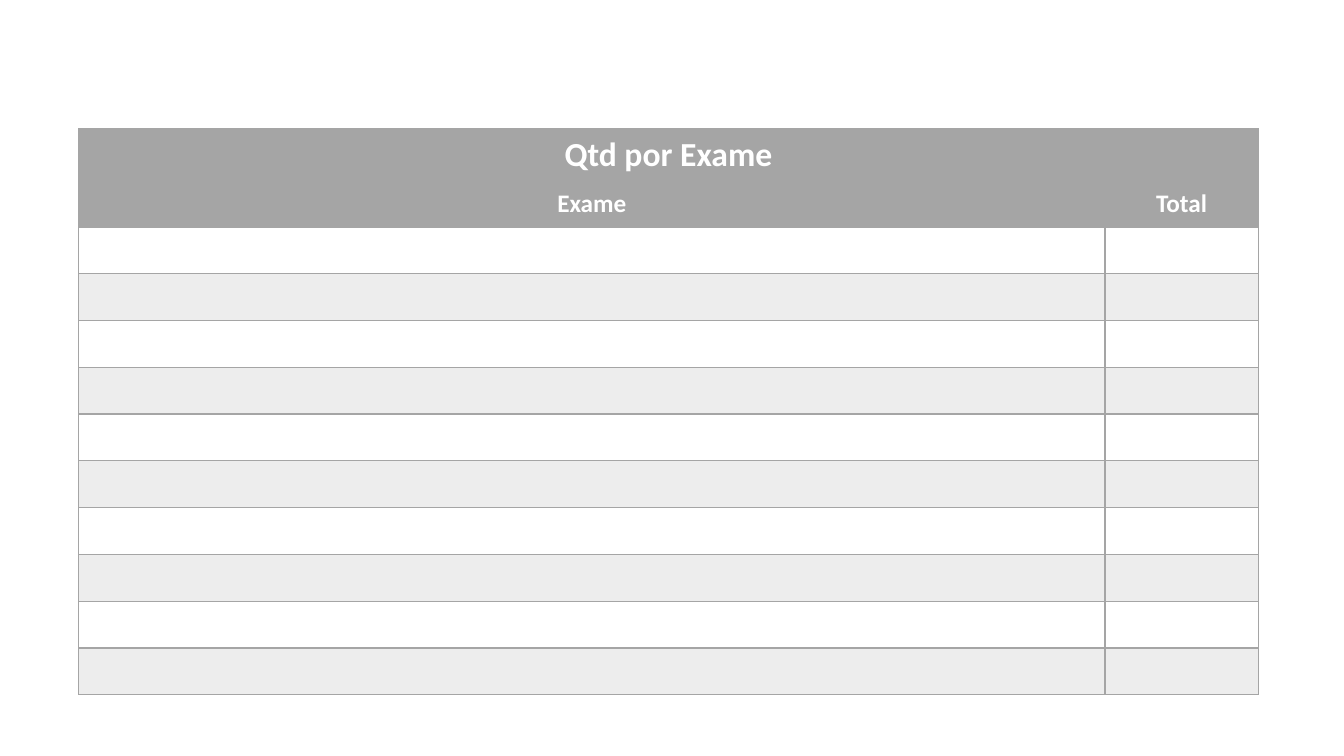
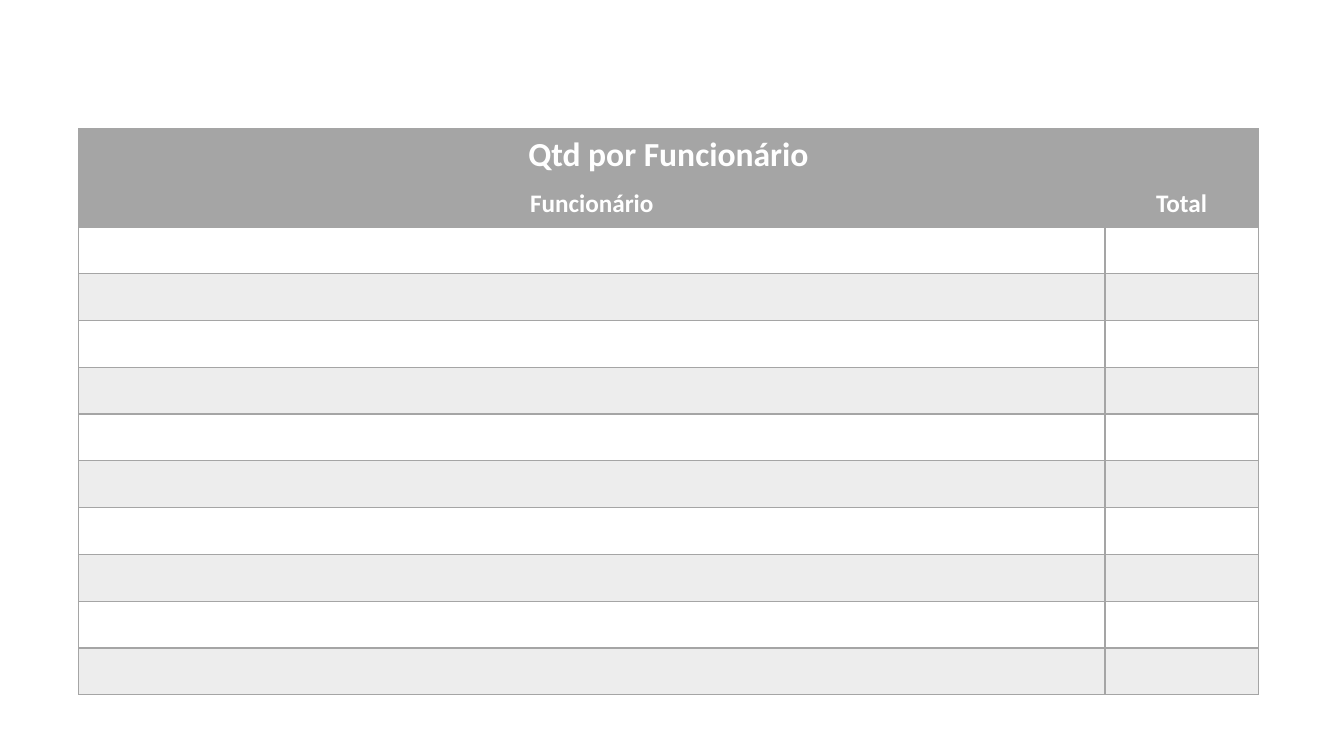
from pptx import Presentation
from pptx.dml.color import RGBColor
from pptx.enum.shapes import MSO_SHAPE
from pptx.enum.text import MSO_ANCHOR, PP_ALIGN
from pptx.oxml import parse_xml
from pptx.oxml.ns import nsdecls, qn
from pptx.util import Inches, Pt

COLORS = {"white": "FFFFFF", "gray": "A5A5A5"}
FONT = "Calibri"
SUBJECTS = ["Exame", "Funcionário"]
COLUMN_WIDTHS = [10.18, 1.52]
BODY_ROWS = 10
TITLE_HEIGHT = 0.5
TABLE_HEIGHT = 5.61
ROW_HEIGHT = (TABLE_HEIGHT - TITLE_HEIGHT) / (BODY_ROWS + 1)


def set_fill(fill, color, opacity=100):
    fill.solid()
    fill.fore_color.rgb = RGBColor.from_string(COLORS[color])
    if opacity < 100:
        # The colour element of the fill takes the alpha value
        for element in fill._xPr.find(qn("a:solidFill")):
            element.append(parse_xml(f'<a:alpha {nsdecls("a")} val="{opacity * 1000}"/>'))


def set_borders(cell, color):
    properties = cell._tc.get_or_add_tcPr()
    for index, side in enumerate(["lnL", "lnR", "lnT", "lnB"]):
        properties.insert(index, parse_xml(
            f'<a:{side} {nsdecls("a")} w="{Pt(1)}"><a:solidFill>'
            f'<a:srgbClr val="{COLORS[color]}"/></a:solidFill></a:{side}>'))


presentation = Presentation()
presentation.slide_width = Inches(13.33)
presentation.slide_height = Inches(7.5)

for subject in SUBJECTS:
    slide = presentation.slides.add_slide(presentation.slide_layouts[6])

    # Translucent panel behind the table
    panel = slide.shapes.add_shape(
        MSO_SHAPE.RECTANGLE, Inches(0.45), Inches(0.94), Inches(12.43), Inches(6.28))
    panel.shadow.inherit = False
    set_fill(panel.fill, "white", 90)
    panel.line.color.rgb = RGBColor.from_string(COLORS["white"])
    panel.line.width = Pt(1)

    # Table grid
    table = slide.shapes.add_table(
        BODY_ROWS + 2, len(COLUMN_WIDTHS), Inches(0.78), Inches(1.28),
        Inches(sum(COLUMN_WIDTHS)), Inches(TABLE_HEIGHT)).table
    for column, width in zip(table.columns, COLUMN_WIDTHS):
        column.width = Inches(width)
    for index, row in enumerate(table.rows):
        row.height = Inches(ROW_HEIGHT if index else TITLE_HEIGHT)

        # Gray header rows, then alternating bands
        for cell in row.cells:
            if index < 2:
                set_fill(cell.fill, "gray")
            elif index % 2:
                set_fill(cell.fill, "gray", 20)
            else:
                cell.fill.background()
            set_borders(cell, "gray")

    # Title and column headings
    table.cell(0, 0).merge(table.cell(0, 1))
    headings = [(0, 0, f"Qtd por {subject}", 24), (1, 0, subject, 18), (1, 1, "Total", 18)]
    for row_index, column_index, text, size in headings:
        cell = table.cell(row_index, column_index)
        cell.text = text
        cell.vertical_anchor = MSO_ANCHOR.MIDDLE
        paragraph = cell.text_frame.paragraphs[0]
        paragraph.alignment = PP_ALIGN.CENTER
        paragraph.font.name = FONT
        paragraph.font.size = Pt(size)
        paragraph.font.bold = True
        paragraph.font.color.rgb = RGBColor.from_string(COLORS["white"])

presentation.save("out.pptx")
